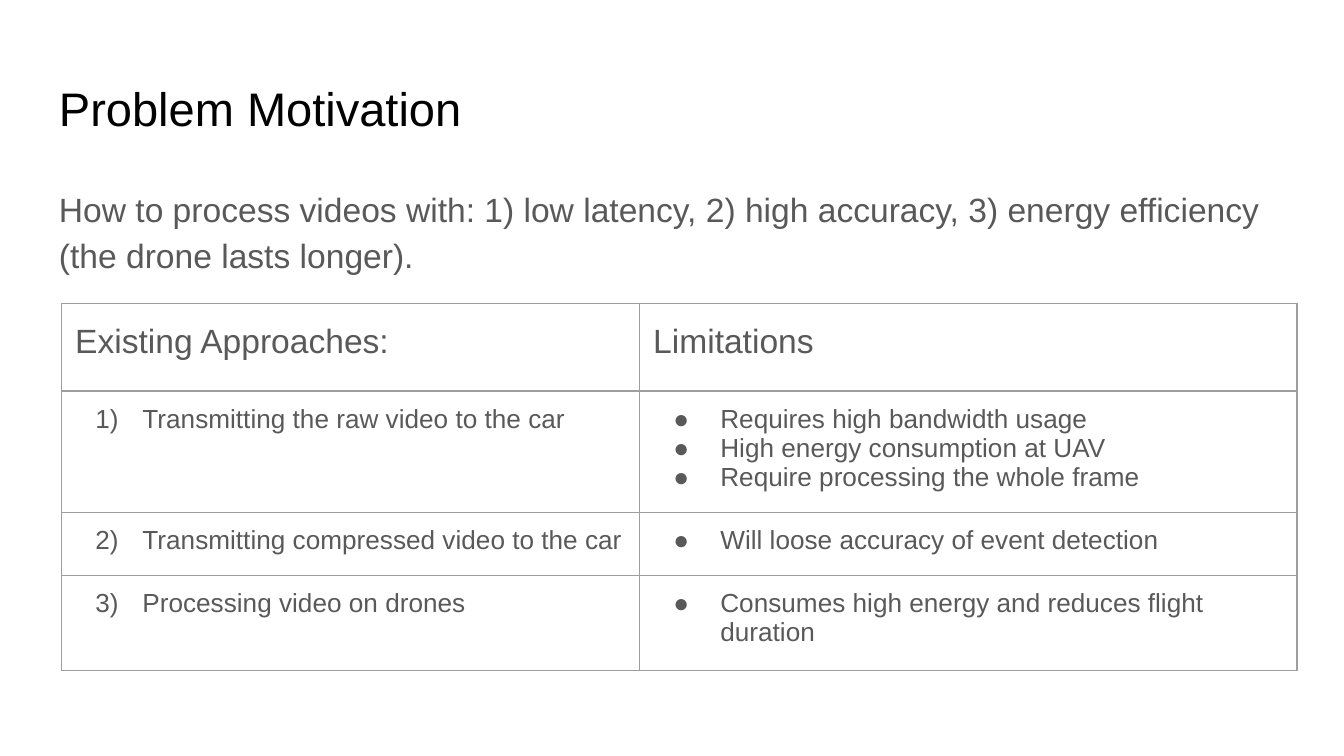
from lxml.etree import SubElement
from pptx import Presentation
from pptx.dml.color import RGBColor
from pptx.oxml.ns import qn
from pptx.util import Inches, Pt


def colour(value):
    return RGBColor.from_string(value)


class SlideBuilder:
    font = "Arial"
    dark = "000000"
    grey = "595959"
    border = "9E9E9E"
    inset = Inches(0.1)

    def __init__(self, page):
        self.page = page
        page.background.fill.solid()
        page.background.fill.fore_color.rgb = colour("FFFFFF")

    def set_insets(self, target):
        target.margin_left = target.margin_right = self.inset
        target.margin_top = target.margin_bottom = self.inset

    def add_span(self, para, text, size, shade):
        span = para.add_run()
        span.text = text
        span.font.name = self.font
        span.font.size = Pt(size)
        span.font.color.rgb = colour(shade)

    def add_text(self, left, top, width, height, text, size, shade, spacing=1.0):
        box = self.page.shapes.add_textbox(
            Inches(left), Inches(top), Inches(width), Inches(height))
        frame = box.text_frame
        frame.word_wrap = True
        self.set_insets(frame)
        para = frame.paragraphs[0]
        para.line_spacing = spacing
        self.add_span(para, text, size, shade)

    def add_marker(self, para, number=None):
        properties = para._p.get_or_add_pPr()
        properties.set("marL", str(Inches(0.5)))
        properties.set("indent", str(Inches(-0.35)))
        marker_colour = SubElement(properties, qn("a:buClr"))
        SubElement(marker_colour, qn("a:srgbClr"), val=self.grey)
        SubElement(properties, qn("a:buFont"), typeface=self.font)
        if number is None:
            SubElement(properties, qn("a:buChar"), char="●")
        else:
            SubElement(properties, qn("a:buAutoNum"),
                       type="arabicParenR", startAt=str(number))

    def style_cell(self, cell):
        self.set_insets(cell)
        properties = cell._tc.get_or_add_tcPr()
        for side in ("a:lnL", "a:lnR", "a:lnT", "a:lnB"):
            line = SubElement(properties, qn(side), w=str(Pt(0.75)))
            fill = SubElement(line, qn("a:solidFill"))
            SubElement(fill, qn("a:srgbClr"), val=self.border)
        cell.fill.background()

    def fill_header(self, cell, text):
        self.style_cell(cell)
        para = cell.text_frame.paragraphs[0]
        para.line_spacing = 1.15
        self.add_span(para, text, 18, self.grey)

    def fill_list(self, cell, items, number=None):
        self.style_cell(cell)
        frame = cell.text_frame
        for index, item in enumerate(items):
            para = frame.add_paragraph() if index else frame.paragraphs[0]
            self.add_marker(para, number)
            self.add_span(para, item, 14, self.grey)

    def add_table(self, left, top, widths, heights, headers, approaches):
        table = self.page.shapes.add_table(
            len(heights), len(widths), Inches(left), Inches(top),
            Inches(sum(widths)), Inches(sum(heights))).table
        table.first_row = False
        table.horz_banding = False
        for column, width in zip(table.columns, widths):
            column.width = Inches(width)
        for row, height in zip(table.rows, heights):
            row.height = Inches(height)
        for index, header in enumerate(headers):
            self.fill_header(table.cell(0, index), header)
        for number, (approach, limitations) in enumerate(approaches, 1):
            self.fill_list(table.cell(number, 0), [approach], number)
            self.fill_list(table.cell(number, 1), limitations)


def main():
    deck = Presentation()
    deck.slide_width = Inches(10)
    deck.slide_height = deck.slide_width * 9 // 16
    builder = SlideBuilder(deck.slides.add_slide(deck.slide_layouts[6]))

    builder.add_text(0.34, 0.49, 9.32, 0.63, "Problem Motivation", 25.2, builder.dark)
    builder.add_text(
        0.34, 1.26, 9.32, 3.74,
        "How to process videos with: 1) low latency, 2) high accuracy, "
        "3) energy efficiency (the drone lasts longer).",
        18, builder.grey, 1.15)
    builder.add_table(
        0.46, 2.26, [4.3, 4.89], [0.65, 0.9, 0.47, 0.71],
        ["Existing Approaches:", "Limitations"],
        [
            ("Transmitting the raw video to the car",
             ["Requires high bandwidth usage",
              "High energy consumption at UAV",
              "Require processing the whole frame"]),
            ("Transmitting compressed video to the car",
             ["Will loose accuracy of event detection"]),
            ("Processing video on drones",
             ["Consumes high energy and reduces flight duration"]),
        ])
    deck.save("out.pptx")


if __name__ == "__main__":
    main()
